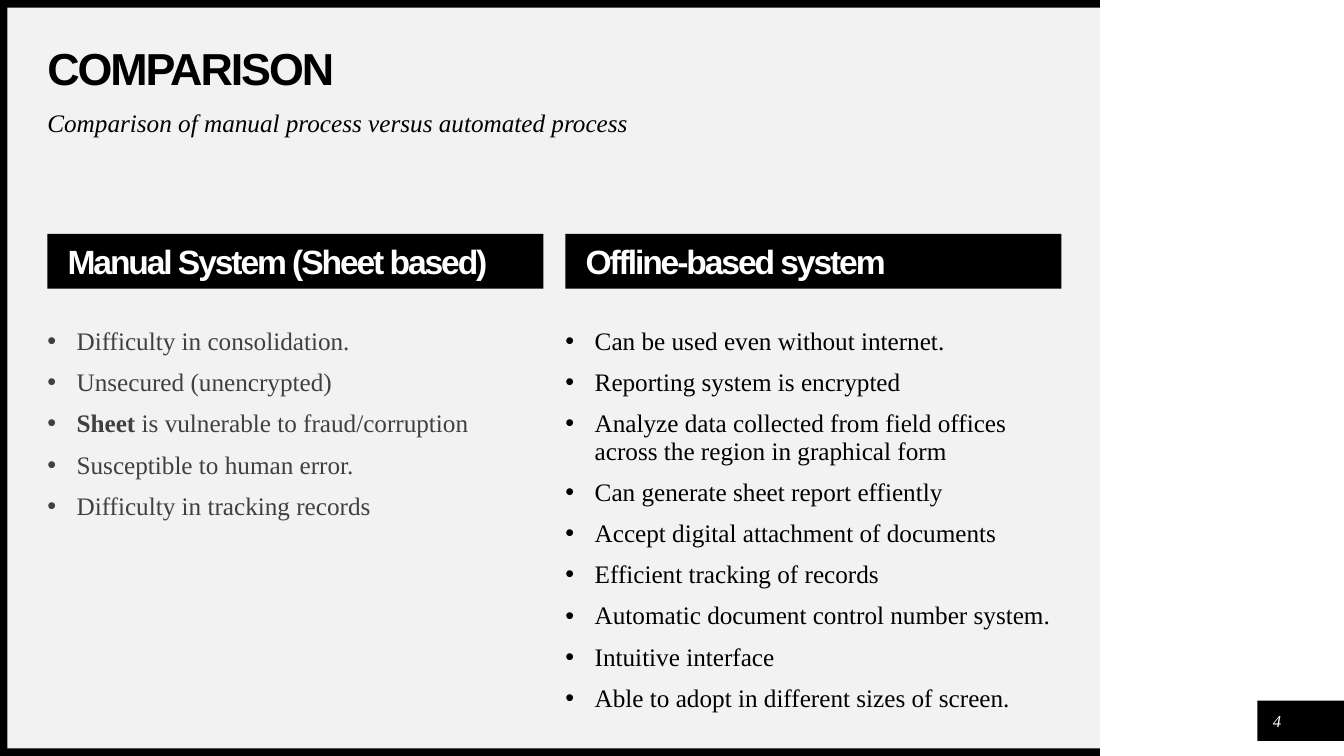
from lxml.etree import SubElement
from pptx import Presentation
from pptx.dml.color import RGBColor as Rgb
from pptx.enum.shapes import MSO_SHAPE as Preset
from pptx.enum.text import MSO_ANCHOR as Anchor, PP_ALIGN as Align
from pptx.oxml.ns import qn
from pptx.util import Inches, Pt

COLORS = {
    "black": "000000",
    "white": "FFFFFF",
    "panel": "F2F2F2",
    "dark": "404040",
}
FORMATS = {
    "title": {"name": "Arial", "size": Pt(32), "bold": True},
    "header": {"name": "Arial", "size": Pt(24), "bold": True},
    "subtitle": {"name": "Times New Roman", "size": Pt(18), "italic": True},
    "item": {"name": "Times New Roman", "size": Pt(18), "bold": False},
    "strong": {"name": "Times New Roman", "size": Pt(18), "bold": True},
    "number": {"name": "Times New Roman", "size": Pt(12), "italic": True},
}
TRACKING = {"title": -150, "header": -150}
BODY = {"line_spacing": 0.9, "space_before": Pt(10)}
COLUMNS, ROWS = 160, 90


class ComparisonSlide:
    def __init__(self, deck):
        self.slide = deck.slides.add_slide(deck.slide_layouts[6])
        self.column = deck.slide_width / COLUMNS
        self.row = deck.slide_height / ROWS

    def place(self, left, top, width, height):
        return (round(left * self.column), round(top * self.row),
                round(width * self.column), round(height * self.row))

    def block(self, area, color):
        block = self.slide.shapes.add_shape(Preset.RECTANGLE, *self.place(*area))
        block.shadow.inherit = False
        block.fill.solid()
        block.fill.fore_color.rgb = Rgb.from_string(COLORS[color])
        block.line.fill.background()
        return block

    def frame(self, holder, anchor=Anchor.TOP, left=0, top=0):
        frame = holder.text_frame
        settings = {
            "word_wrap": True, "vertical_anchor": anchor,
            "margin_left": Inches(left), "margin_top": Inches(top),
            "margin_right": 0, "margin_bottom": 0,
        }
        for key, value in settings.items():
            setattr(frame, key, value)
        return frame

    def layout(self, paragraph, align=Align.LEFT, **spacing):
        for key, value in {"alignment": align, **spacing}.items():
            setattr(paragraph, key, value)

    def run(self, paragraph, words, style, color):
        run = paragraph.add_run()
        run.text = words
        for key, value in FORMATS[style].items():
            setattr(run.font, key, value)
        run.font.color.rgb = Rgb.from_string(COLORS[color])
        if style in TRACKING:
            run._r.get_or_add_rPr().set("spc", str(TRACKING[style]))

    def text(self, area, words, style, color, anchor=Anchor.TOP, **spacing):
        holder = self.slide.shapes.add_textbox(*self.place(*area))
        paragraph = self.frame(holder, anchor).paragraphs[0]
        self.layout(paragraph, **spacing)
        self.run(paragraph, words, style, color)

    def header(self, area, words):
        frame = self.frame(self.block(area, "black"), Anchor.MIDDLE, 0.2, 0.04)
        self.layout(frame.paragraphs[0], **BODY)
        self.run(frame.paragraphs[0], words, "header", "white")

    def bullets(self, area, items, color):
        frame = self.frame(self.slide.shapes.add_textbox(*self.place(*area)))
        for index, item in enumerate(items):
            paragraph = frame.add_paragraph() if index else frame.paragraphs[0]
            self.layout(paragraph, **BODY)
            props = paragraph._p.get_or_add_pPr()
            props.set("marL", str(Inches(0.29)))
            props.set("indent", str(-Inches(0.29)))
            SubElement(props, qn("a:buFont"), typeface="Arial")
            SubElement(props, qn("a:buChar"), char="•")
            strong, mark, rest = item.rpartition("|")
            if mark:
                self.run(paragraph, strong, "strong", color)
            self.run(paragraph, rest, "item", color)


MANUAL = [
    "Difficulty in consolidation.",
    "Unsecured (unencrypted)",
    "Sheet| is vulnerable to fraud/corruption",
    "Susceptible to human error.",
    "Difficulty in tracking records",
]
OFFLINE = [
    "Can be used even without internet.",
    "Reporting system is encrypted",
    "Analyze data collected from field offices across the region in graphical form",
    "Can generate sheet report effiently",
    "Accept digital attachment of documents",
    "Efficient tracking of records",
    "Automatic document control number system.",
    "Intuitive interface",
    "Able to adopt in different sizes of screen.",
]
SYSTEMS = [
    ("Manual System (Sheet based)", MANUAL, "dark"),
    ("Offline-based system", OFFLINE, "black"),
]


def main():
    deck = Presentation()
    deck.slide_width, deck.slide_height = Inches(13.33), Inches(7.5)
    page = ComparisonSlide(deck)
    margin, content, edge = 5.64, 120.72, 0.9
    panel_end = 130.95

    page.block((edge, edge, panel_end - edge, ROWS - 2 * edge), "panel")
    for top in (0, ROWS - edge):
        page.block((0, top, panel_end, edge), "black")
    page.block((0, 0, edge, ROWS), "black")
    page.block((149.7, 83.4, COLUMNS - 149.7, 4.8), "black")

    page.text((margin, margin, content, 5.64), "COMPARISON", "title", "black",
              Anchor.MIDDLE, line_spacing=0.9)
    page.text((margin, 13.2, content, 4.68),
              "Comparison of manual process versus automated process",
              "subtitle", "black", **BODY)

    width, gap = 59.04, 2.64
    for index, (heading, items, color) in enumerate(SYSTEMS):
        left = margin + index * (width + gap)
        page.header((left, 27.84, width, 6.54), heading)
        page.bullets((left, 39.12, width, 46.92), items, color)

    page.text((150.24, 84, 3.6, 3.6), "4", "number", "white",
              Anchor.MIDDLE, align=Align.CENTER)
    deck.save("out.pptx")


if __name__ == "__main__":
    main()
